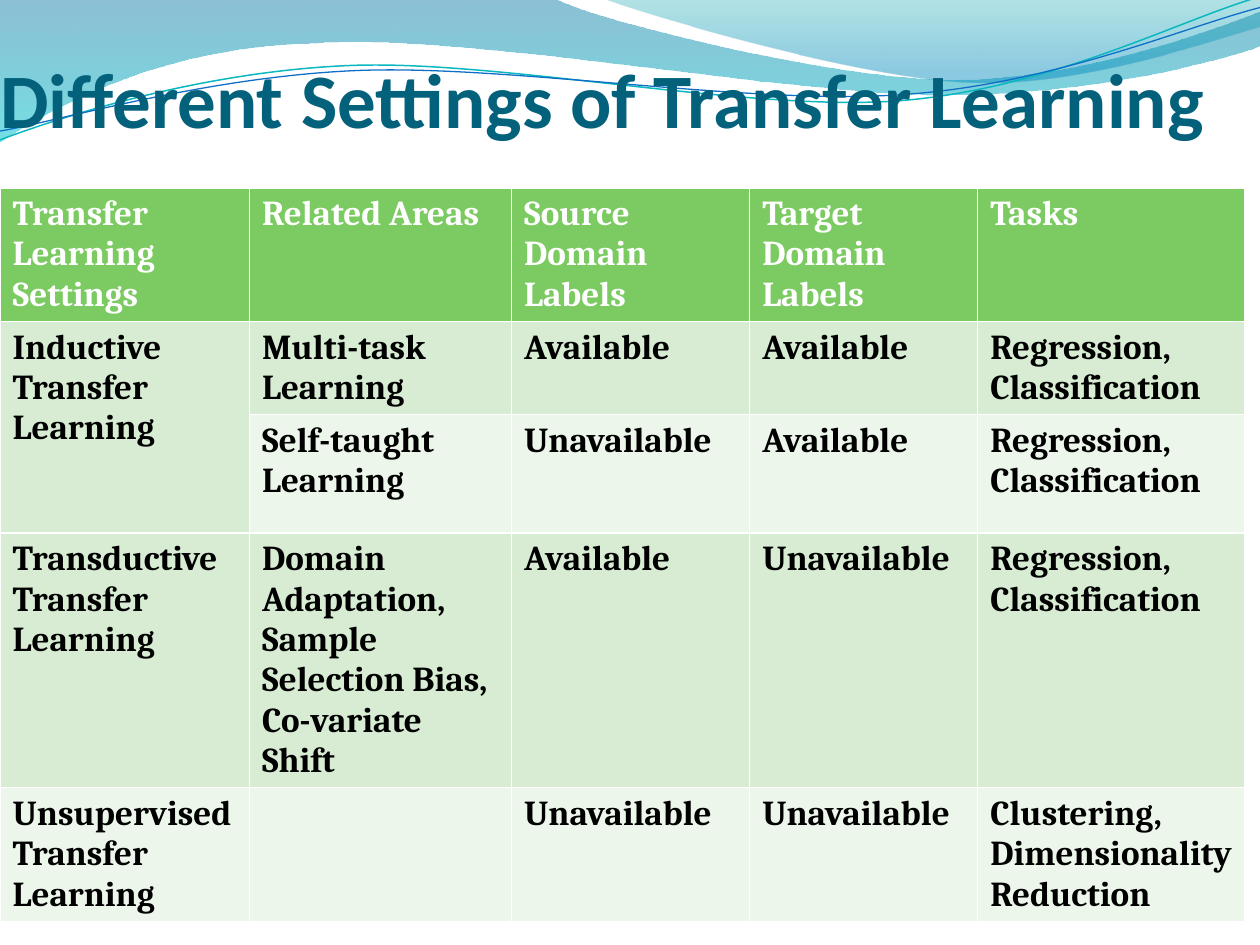
from dataclasses import dataclass
from math import cos, radians, sin

from lxml.etree import SubElement
from pptx import Presentation
from pptx.dml.color import RGBColor as Rgb
from pptx.enum.text import MSO_ANCHOR as Anchor, MSO_AUTO_SIZE as AutoSize, PP_ALIGN as Align
from pptx.oxml.ns import qn
from pptx.util import Emu, Pt

PX = 9144  # one px is a hundredth of an inch


def px(length):
    return Emu(round(length * PX))


def assign(target, **values):
    for name, value in values.items():
        setattr(target, name, value)


def turn(point, center, degrees):
    """Turn a point clockwise about a center."""
    angle = radians(degrees)
    x, y = point[0] - center[0], point[1] - center[1]
    return (center[0] + x * cos(angle) - y * sin(angle),
            center[1] + x * sin(angle) + y * cos(angle))


def bend(shape, segments):
    """Join the straight steps of each curved segment into one Bézier curve."""
    steps = iter(list(shape._element.iter(qn("a:lnTo"))))
    for segment in segments:
        first = next(steps)
        if len(segment) == 6:
            first.tag = qn("a:cubicBezTo")
            for _ in range(2):
                step = next(steps)
                first.append(step[0])
                step.getparent().remove(step)


@dataclass(frozen=True)
class Theme:
    title: str = "04617B"
    header: str = "7CCA62"
    bands: tuple = ("D7ECD3", "ECF6EA")
    text: str = "000000"
    white: str = "FFFFFF"
    teal_line: str = "0AB8BF"
    blue_line: str = "0F6FC6"
    # gradient stops: position, colour, opacity in percent
    left_wave: tuple = ((0, "0074A1", 45), (1, "00C6CF", 55))
    right_wave: tuple = ((0, "00A1A9", 30), (0.8, "008BBF", 45))
    title_font: str = "Calibri"
    table_font: str = "Cambria"
    title_size: int = 44
    table_size: int = 20


class SlideBuilder:
    """Holds the theme and the current slide."""

    def __init__(self, page, theme):
        self.page = page
        self.theme = theme

    def style(self, para, font, size, color):
        assign(para.font, name=font, size=Pt(size), bold=True)
        para.font.color.rgb = Rgb.from_string(color)

    def outline(self, start, segments, close, center=(0, 0), tilt=0):
        """Draw line ends (x, y) and curves (x1, y1, x2, y2, x, y) in a tilted frame."""
        points = [start] + [segment[i:i + 2] for segment in segments
                            for i in range(0, len(segment), 2)]
        points = [tuple(map(px, turn(point, center, -tilt))) for point in points]
        builder = self.page.shapes.build_freeform(*points[0], scale=1.0)
        builder.add_line_segments(points[1:], close=close)
        shape = builder.convert_to_shape()
        bend(shape, segments)
        shape.rotation = tilt
        shape.shadow.inherit = False
        return shape

    def wave(self, start, segments, stops):
        shape = self.outline(start, segments, close=True)
        shape.line.fill.background()
        shape.fill.gradient()
        shape.fill.gradient_angle = 270
        for stop, (position, color, _) in zip(shape.fill.gradient_stops, stops):
            stop.position = position
            stop.color.rgb = Rgb.from_string(color)
        colors = shape._element.spPr.iter(qn("a:srgbClr"))
        for element, (_, _, opacity) in zip(list(colors), stops):
            SubElement(element, qn("a:alpha"), val=str(opacity * 1000))

    def ribbon(self, start, segments, color, width):
        shape = self.outline(start, segments, close=False, center=(499, 58), tilt=-2.7)
        shape.fill.background()
        shape.line.color.rgb = Rgb.from_string(color)
        shape.line.width = Pt(width)

    def title(self, text, left, top, width, height):
        """Fill the title placeholder and bring it in front of the waves."""
        box = self.page.shapes.title
        self.page.shapes._spTree.append(box._element)
        assign(box, left=px(left), top=px(top), width=px(width), height=px(height))
        frame = box.text_frame
        assign(frame, text=text, word_wrap=True, auto_size=AutoSize.NONE,
               vertical_anchor=Anchor.BOTTOM, margin_left=0, margin_right=0,
               margin_top=px(5), margin_bottom=0)
        para = frame.paragraphs[0]
        para.alignment = Align.LEFT
        self.style(para, self.theme.title_font, self.theme.title_size, self.theme.title)

    def table(self, rows, left, top, widths, heights, full_height, merges):
        """Rows grow from their least heights; white rules come from the table style."""
        theme = self.theme
        holder = self.page.shapes.add_table(
            len(rows), len(widths), px(left), px(top), px(sum(widths)), px(full_height))
        table = holder.table
        for column, width in zip(table.columns, widths):
            column.width = px(width)
        for row, height in zip(table.rows, heights):
            row.height = px(height)
        holder.height = px(full_height)
        for r, texts in enumerate(rows):
            fill = theme.bands[(r - 1) % 2] if r else theme.header
            color = theme.text if r else theme.white
            for c, text in enumerate(texts):
                cell = table.cell(r, c)
                cell.fill.solid()
                cell.fill.fore_color.rgb = Rgb.from_string(fill)
                cell.text_frame.text = text
                for para in cell.text_frame.paragraphs:
                    self.style(para, theme.table_font, theme.table_size, color)
        for first, last in merges:
            table.cell(*first).merge(table.cell(*last))


ROWS = [
    ("Transfer Learning Settings", "Related Areas", "Source Domain Labels",
     "Target Domain Labels", "Tasks"),
    ("Inductive Transfer Learning", "Multi-task Learning", "Available", "Available",
     "Regression, Classification"),
    ("", "Self-taught Learning", "Unavailable", "Available", "Regression,\nClassification"),
    ("Transductive Transfer Learning",
     "Domain Adaptation, Sample Selection Bias, Co-variate Shift",
     "Available", "Unavailable", "Regression,\nClassification"),
    ("Unsupervised Transfer Learning", "", "Unavailable", "Unavailable",
     "Clustering,\nDimensionality Reduction"),
]


def main():
    deck = Presentation()
    assign(deck, slide_width=px(1000), slide_height=px(750))
    theme = Theme()
    slide = SlideBuilder(deck.slides.add_slide(deck.slide_layouts[5]), theme)

    slide.wave((0, 0), [(440, -1), (476, 17, 664, 63, 758, 63), (853, 63, 958, 26, 1000, 9),
                        (1001, 36), (983, 44, 870, 76, 746, 75),
                        (622, 75, 382, 28, 257, 34), (129, 36, 46, 83, -1, 113)],
               theme.left_wave)
    slide.wave((479, -1), [(509, 11, 682, 62, 769, 65), (856, 69, 961, 32, 1000, 21),
                           (1000, 0)], theme.right_wave)
    slide.ribbon((0, 111), [(48, 93, 158, 57, 277, 52), (395, 47, 593, 89, 713, 80),
                            (833, 71, 938, 15, 998, -2)], theme.teal_line, 0.85)
    slide.ribbon((0, 104), [(47, 96, 164, 61, 283, 56), (403, 51, 597, 84, 717, 75),
                            (836, 67, 941, 21, 1000, 6)], theme.blue_line, 0.75)

    slide.title("Different Settings of Transfer Learning", 0, 36, 1000, 78)
    slide.table(ROWS, 0, 149, widths=(198, 208, 189, 181, 212),
                heights=(41, 41, 94, 41, 41), full_height=601, merges=[((1, 0), (2, 0))])
    deck.save("out.pptx")


if __name__ == "__main__":
    main()
